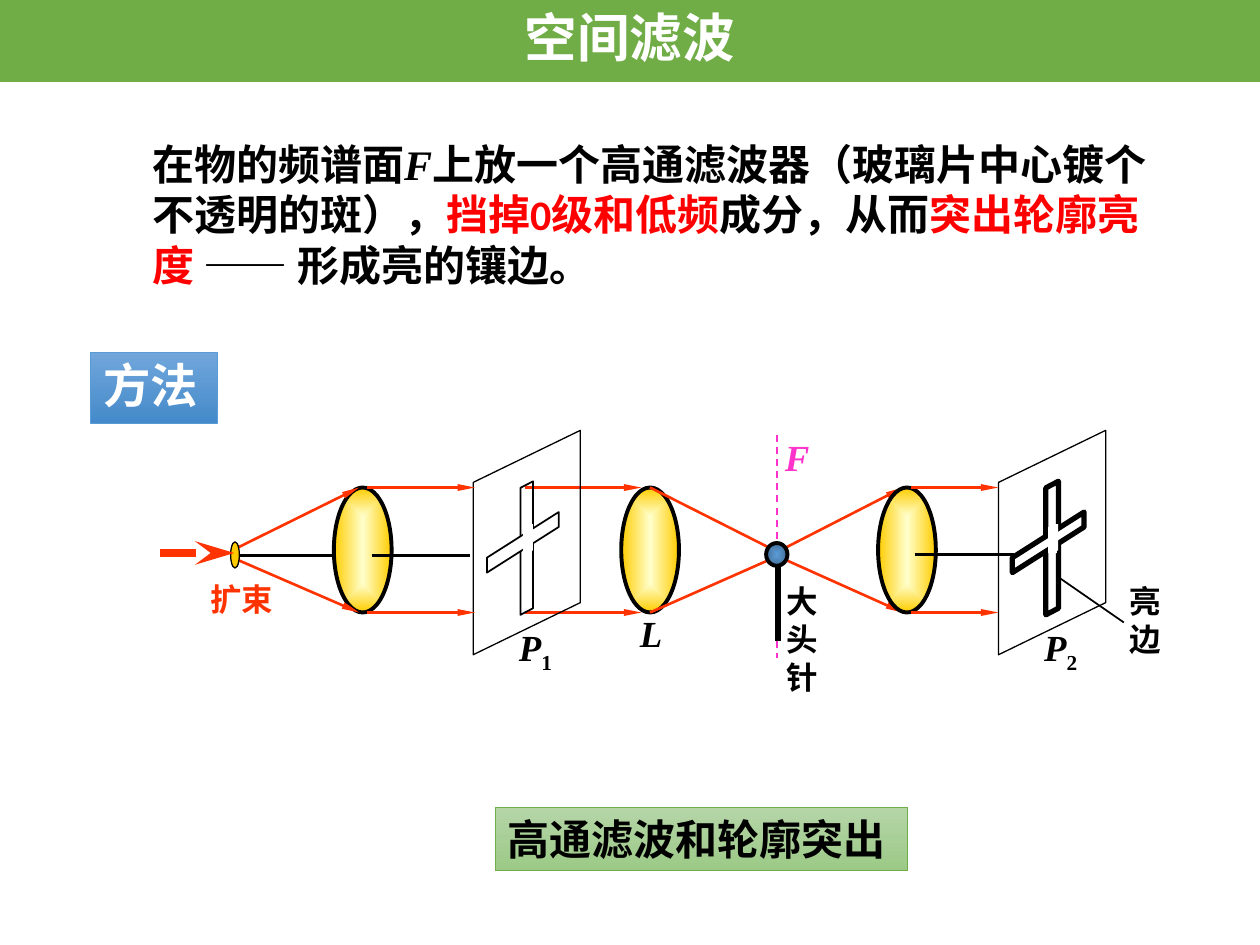
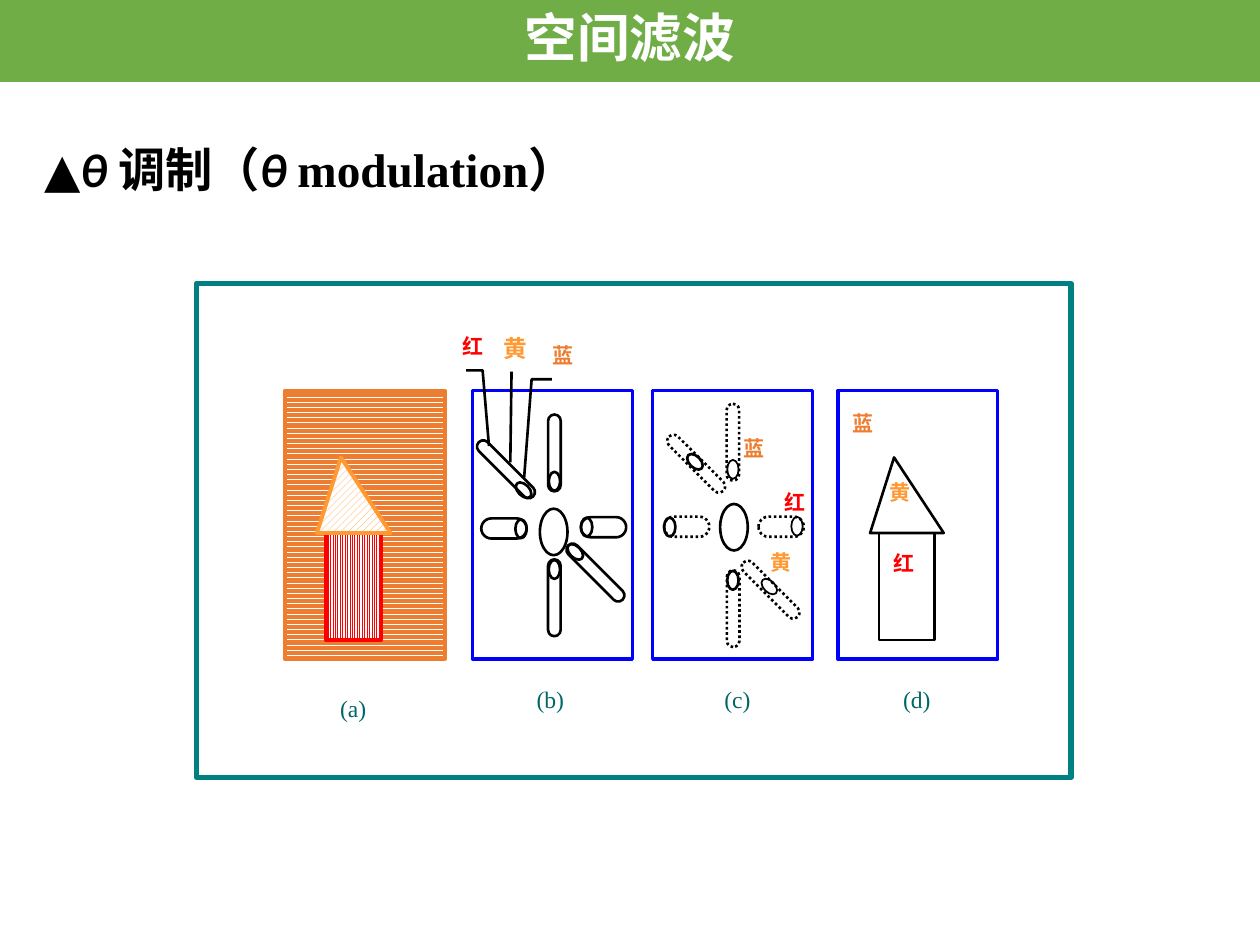
from dataclasses import dataclass
from typing import Any

from lxml import etree
from pptx import Presentation
from pptx.dml.color import RGBColor
from pptx.enum.dml import MSO_LINE as DASH, MSO_PATTERN as PATTERN
from pptx.enum.shapes import MSO_CONNECTOR, MSO_SHAPE as SHAPE
from pptx.enum.text import MSO_ANCHOR as ANCHOR, MSO_AUTO_SIZE as AUTO, PP_ALIGN as ALIGN
from pptx.oxml.ns import qn
from pptx.util import Pt

BLACK = RGBColor(0x00, 0x00, 0x00)
WHITE = RGBColor(0xFF, 0xFF, 0xFF)
RED = RGBColor(0xFF, 0x00, 0x00)
GREEN = RGBColor(0x70, 0xAD, 0x47)
GREEN_TOP = RGBColor(0xB5, 0xD5, 0xA7)
GREEN_BOTTOM = RGBColor(0x9C, 0xC9, 0x87)
BLUE = RGBColor(0x5B, 0x9B, 0xD5)
BLUE_TOP = RGBColor(0x71, 0xA6, 0xDB)
BLUE_BOTTOM = RGBColor(0x44, 0x8A, 0xCA)
PIN_EDGE = RGBColor(0x41, 0x6E, 0x97)
LENS_CENTRE = RGBColor(0xFF, 0xFF, 0xCC)
GOLD = RGBColor(0xFF, 0xCC, 0x00)
RAY = RGBColor(0xFF, 0x33, 0x00)
PINK = RGBColor(0xFF, 0x33, 0xCC)
TEAL = RGBColor(0x00, 0x80, 0x80)
CAPTION = RGBColor(0x00, 0x66, 0x66)
ORANGE = RGBColor(0xED, 0x7D, 0x31)
YELLOW = RGBColor(0xFF, 0x99, 0x33)
PANEL = RGBColor(0x00, 0x00, 0xFF)

SANS, SERIF = "Calibri", "Times New Roman"


def write(shape, runs, size=18, color=BLACK, font=SERIF, bold=True, italic=False,
          align=ALIGN.LEFT, anchor=ANCHOR.TOP, spacing=None):
    """Fill a shape with one paragraph; runs is a string or (text, overrides) pairs."""
    tf = shape.text_frame
    tf.word_wrap = True
    tf.auto_size = AUTO.NONE
    tf.vertical_anchor = anchor
    p = tf.paragraphs[0]
    p.alignment = align
    if spacing:
        p.line_spacing = spacing
    for text, own in [(runs, {})] if isinstance(runs, str) else runs:
        r = p.add_run()
        r.text = text
        f = r.font
        f.size = Pt(size)
        f.name = own.get("font", font)
        f.bold = bold
        f.italic = own.get("italic", italic)
        f.color.rgb = own.get("color", color)
        if "baseline" in own:
            r._r.get_or_add_rPr().set("baseline", str(own["baseline"]))


def paint(fill, first, second, radial=False):
    """Two-colour gradient, downwards or from the centre outwards."""
    fill.gradient()
    for stop, color in zip(fill.gradient_stops, (first, second)):
        stop.color.rgb = color
    if not radial:
        fill.gradient_angle = 270
        return
    grad = fill._xPr.find(qn("a:gradFill"))
    grad.remove(grad.find(qn("a:lin")))
    centre = etree.SubElement(grad, qn("a:path"), {"path": "shape"})
    etree.SubElement(centre, qn("a:fillToRect"), dict.fromkeys("ltrb", "50000"))


def style(sp, fill=None, line=None, width=1.5, dash=None, pattern=None):
    sp.shadow.inherit = False
    if pattern:
        sp.fill.patterned()
        sp.fill.pattern = pattern
        sp.fill.fore_color.rgb = fill
        sp.fill.back_color.rgb = WHITE
    elif fill is None:
        sp.fill.background()
    else:
        sp.fill.solid()
        sp.fill.fore_color.rgb = fill
    if line is None:
        sp.line.fill.background()
        return
    sp.line.color.rgb = line
    sp.line.width = Pt(width)
    if dash:
        sp.line.dash_style = dash


@dataclass
class Region:
    """Part of a slide whose contents are placed from its own top-left corner."""
    shapes: Any
    x: float = 0
    y: float = 0

    def sub(self, x, y):
        return Region(self.shapes, self.x + x, self.y + y)

    def box(self, x, y, w, h):
        return Pt(self.x + x), Pt(self.y + y), Pt(w), Pt(h)

    def shape(self, kind, box, rot=0, **look):
        sp = self.shapes.add_shape(kind, *self.box(*box))
        sp.rotation = rot
        style(sp, **look)
        return sp

    def slanted(self, box, adj, **look):
        sp = self.shape(SHAPE.PARALLELOGRAM, box, 270, **look)
        sp.adjustments[0] = adj
        sp._element.spPr.xfrm.set("flipH", "1")

    def text(self, box, runs, **fmt):
        write(self.shapes.add_textbox(*self.box(*box)), runs, **fmt)

    def line(self, x1, y1, x2, y2, color=BLACK, width=1.5, dash=None, arrow=None):
        c = self.shapes.add_connector(MSO_CONNECTOR.STRAIGHT, *self.box(x1, y1, 0, 0)[:2],
                                      *self.box(x2, y2, 0, 0)[:2])
        c.line.color.rgb = color
        c.line.width = Pt(width)
        if dash:
            c.line.dash_style = dash
        spPr = c._element.spPr
        if arrow:
            kind, breadth = arrow
            etree.SubElement(spPr.find(qn("a:ln")), qn("a:tailEnd"),
                             {"type": kind, "w": breadth, "len": "lg"})
        etree.SubElement(spPr, qn("a:effectLst"))

    def outline(self, points, close=True, **look):
        pts = [self.box(x, y, 0, 0)[:2] for x, y in points]
        fb = self.shapes.build_freeform(*pts[0], scale=1.0)
        fb.add_line_segments(pts[1:], close=close)
        style(fb.convert_to_shape(), **look)


def start_slide(prs, title_box, title, **fmt):
    """Add a slide with the green band and a section title; return slide region and title."""
    s = prs.slides.add_slide(prs.slide_layouts[5])
    page = Region(s.shapes)
    sp = s.shapes.title
    sp.left, sp.top, sp.width, sp.height = page.box(*title_box)
    write(sp, title, size=27, font=SANS, anchor=ANCHOR.MIDDLE, spacing=0.9, **fmt)
    band = page.shape(SHAPE.RECTANGLE, (0, 0, 720, 46.8), fill=GREEN)
    write(band, "空间滤波", size=30, color=WHITE, font=SANS, align=ALIGN.CENTER,
          anchor=ANCHOR.MIDDLE, spacing=0.9)
    band.text_frame.margin_top = band.text_frame.margin_bottom = Pt(2.9)
    return page, sp


# Optical bench: heights measured from the top of the bench
LENS_Y, LENS_R, FOCUS_Y, FOCUS_GAP, FOCUS_X = 74.3, 35.7, 76.5, 2.6, 354.2
THIN_HEAD = ("triangle", "sm")


def lens(bench, x):
    sp = bench.shape(SHAPE.OVAL, (x, LENS_Y - LENS_R, 33, 2 * LENS_R), line=BLACK, width=2.25)
    paint(sp.fill, LENS_CENTRE, GOLD, radial=True)


def parallel_rays(bench, x1, x2):
    for y in (LENS_Y - LENS_R, LENS_Y + LENS_R):
        bench.line(x1, y, x2, y, RAY, arrow=THIN_HEAD)


def fan_rays(bench, x, lens_x, arrow=None):
    """Rays from a point on the axis to the rims of a lens."""
    for side in (-1, 1):
        bench.line(x, FOCUS_Y + side * FOCUS_GAP, lens_x, LENS_Y + side * LENS_R, RAY, arrow=arrow)


def screen(plate, number, cross_width):
    """Slanted plate carrying a cross, labelled P with an index."""
    plate.slanted((0, 0, 128.2, 61.2), 0.486, line=BLACK, width=0.75)
    plate.slanted((26, 30.2, 76.3, 7.2), 0.52, line=BLACK, width=cross_width)
    plate.slanted((44.6, 10, 34.6, 41), 0.753, fill=WHITE, line=BLACK, width=cross_width)
    for x, y in ((61.9, 21.6), (62.6, 20.1)):
        plate.shape(SHAPE.RECTANGLE, (x, y, 5, 15.1), fill=WHITE)
    plate.text((52.5, 74, 42.5, 33),
               [("P", {}), (number, {"italic": False, "baseline": -25000})], size=21, italic=True)


def optical_bench(bench):
    bench.line(FOCUS_X, 8.4, FOCUS_X, 135.8, PINK, 1, DASH.DASH)
    bench.text((351.4, 4.8, 36.7, 33), "F", size=21, color=PINK, italic=True)
    lens(bench, 265)
    parallel_rays(bench, 210.2, 276.5)
    fan_rays(bench, 351.4, 281.5)
    fan_rays(bench, 357.1, 426, THIN_HEAD)
    bench.line(FOCUS_X + 0.4, 83.3, FOCUS_X + 0.4, 126.5, width=3)
    pin = bench.shape(SHAPE.OVAL, (347.8, 70.3, 12.2, 13), line=BLACK, width=2.25)
    paint(pin.fill, BLUE, PIN_EDGE, radial=True)
    bench.text((352.1, 89, 33.1, 72.7), "大头针")
    bench.text((268.6, 105.6, 24, 33), "L", size=21, italic=True)
    for x, number, cross_width in ((146.9, "1", 1), (447.1, "2", 3)):
        screen(bench.sub(x, 39.4), number, cross_width)

    lens(bench, 100.8)
    bench.line(43.9, 77.3, 100.8, 77.3)
    bench.line(122.4, 77.3, 178.6, 77.3)
    fan_rays(bench, 43.9, 115.2, THIN_HEAD)
    bench.shape(SHAPE.OVAL, (41.8, 69.6, 5, 15), fill=GOLD, line=BLACK, width=0.75)
    bench.line(1.4, 76, 43.9, 76, RAY, 4.5, arrow=("stealth", "med"))
    parallel_rays(bench, 119.5, 181.4)
    bench.text((23, 87.6, 52, 29), "扩束", color=RAY)
    bench.line(514.8, 89.8, 552.2, 115.7, width=1)
    bench.text((548.6, 89, 33.1, 51), "亮边")
    lens(bench, 411.8)
    bench.line(432.7, 77, 489.6, 77)
    parallel_rays(bench, 430.6, 480.5)


def high_pass_slide(prs):
    page, title = start_slide(prs, (51.8, 201.6, 72.7, 40.3), "方法", color=WHITE)
    style(title, line=BLUE, width=0.5)
    paint(title.fill, BLUE_TOP, BLUE_BOTTOM)
    red = {"color": RED, "font": SANS}
    page.text((79.9, 75.6, 592.6, 94.3), [
        ("在物的频谱面", {}), ("F", {"italic": True}), ("上放一个高通滤波器", {}),
        ("（玻璃片中心镀个不透明的斑），", {"font": SANS}), ("挡掉0级和低频", red),
        ("成分，从而", {"font": SANS}), ("突出轮廓亮度 ", red),
        ("—— 形成亮的镶边。", {"font": SANS})], size=24)
    result = page.shape(SHAPE.RECTANGLE, (283, 461.5, 235.4, 36), line=GREEN, width=0.5)
    paint(result.fill, GREEN_TOP, GREEN_BOTTOM)
    write(result, "高通滤波和轮廓突出", size=24)
    optical_bench(page.sub(90, 240))


def house(panel, wall=None, roof=None, edge_width=1.5):
    """Arrow-like house; wall and roof are colour and pattern, or None for plain outlines."""
    def look(part):
        if part is None:
            return {"line": BLACK, "width": edge_width}
        color, pattern = part
        return {"fill": color, "line": color, "pattern": pattern, "width": edge_width}
    panel.shape(SHAPE.RECTANGLE, (23.4, 81.4, 31.7, 61.2), **look(wall))
    panel.outline([(18.4, 81.4), (60.5, 81.4), (32.1, 38.2)], **look(roof))


def centred(region, kind, cx, cy, w, h, rot, **look):
    return region.shape(kind, (cx - w / 2, cy - h / 2, w, h), rot, line=BLACK, **look)


# Turn, length and thickness of the spectrum arms: left, right, bottom, upper left, top, lower right
ARMS = [(0, 25.9, 11.5), (0, 25.9, 11.5), (270, 43.9, 7.2),
        (45, 43.9, 7.2), (90, 43.9, 7.2), (45, 43.9, 7.2)]
# Arm centre, then spot centre and spot line width
FULL_SPECTRUM = [(18, 78.8, 27.7, 79, 1.5), (74.9, 78.1, 65.2, 78, 1.5),
                 (46.8, 118.4, 46.8, 102.2, 1.5), (19.1, 45, 29.2, 56.9, 1.5),
                 (46.8, 35.6, 46.8, 51.8, 1.5), (70.2, 104, 58.7, 92.2, 1.5)]
FILTERED_SPECTRUM = [(19.4, 77.8, 9.7, 78, 1.5), (73.4, 77.8, 82.4, 77.5, 1),
                     (46, 124.6, 45.8, 108.4, 1.5), (24.8, 41.8, 24.1, 40.7, 1.5),
                     (45.8, 29.5, 45.8, 45, 1), (67.3, 113.8, 66.6, 112, 1)]


def spectrum(panel, arms, centre_y, dash=None):
    centred(panel, SHAPE.OVAL, 46.4, centre_y, 15.8, 26.6, 0)
    for (rot, length, thick), (x, y, spot_x, spot_y, width) in zip(ARMS, arms):
        arm = centred(panel, SHAPE.ROUNDED_RECTANGLE, x, y, length, thick, rot, dash=dash)
        arm.adjustments[0] = 0.5
        centred(panel, SHAPE.OVAL, spot_x, spot_y, 10.8, 6.5, rot or 90, width=width)


def modulation_figure(fig):
    fig.shape(SHAPE.RECTANGLE, (0, 0, 499.7, 282.2), line=TEAL, width=3)
    a, b, c, d = (fig.sub(x, 61.2) for x in (50.4, 157.7, 260.7, 366.5))
    frame = (0, 0, 91.4, 153.4)
    a.shape(SHAPE.RECTANGLE, frame, fill=ORANGE, pattern=PATTERN.DARK_HORIZONTAL,
            line=ORANGE, width=2.25)
    for panel in (b, c, d):
        panel.shape(SHAPE.RECTANGLE, frame, line=PANEL, width=2)
    house(a, (RED, PATTERN.LIGHT_VERTICAL), (YELLOW, PATTERN.WIDE_UPWARD_DIAGONAL), 2.25)
    house(d)
    spectrum(b, FULL_SPECTRUM, 80.8)
    spectrum(c, FILTERED_SPECTRUM, 78.1, DASH.ROUND_DOT)

    for name, x, y in (("(a)", 74.9, 231), ("(b)", 187.2, 226),
                       ("(c)", 294.5, 226), ("(d)", 396.7, 226)):
        fig.text((x, y, 41.8, 50), name, size=13.5, color=CAPTION, bold=False)
    hues = {"红": RED, "黄": YELLOW, "蓝": ORANGE}
    for hue, x, y, size in (
            ("红", 144.7, 25.2, 12), ("黄", 168.5, 25.2, 13.5), ("蓝", 196.6, 30.2, 12),
            ("蓝", 305.3, 83.5, 12), ("红", 329, 114.2, 12), ("黄", 321, 148.5, 12),
            ("蓝", 367.9, 69.1, 12), ("黄", 388.8, 108.5, 12), ("红", 391, 149, 12)):
        fig.text((x, y, 31.7, 46), hue, size=size, color=hues[hue])
    for leader in ([(154.1, 49.7), (163.5, 49.7), (167.1, 92.9)],
                   [(180, 50.4), (179.3, 102.2)],
                   [(203.1, 54.7), (191.5, 54.7), (187.2, 110.9)]):
        fig.outline(leader, close=False, line=BLACK)


def theta_slide(prs):
    italic = {"italic": True}
    page, _ = start_slide(prs, (18, 78.5, 326.2, 40.3), [
        ("▲", {}), ("θ ", italic), ("调制（", {}), ("θ ", italic),
        ("modulation", {"font": SERIF}), ("）", {})])
    modulation_figure(page.sub(112.3, 162))


def main():
    prs = Presentation()
    prs.slide_width, prs.slide_height = Pt(720), Pt(540)
    high_pass_slide(prs)
    theta_slide(prs)
    prs.save("out.pptx")


if __name__ == "__main__":
    main()
